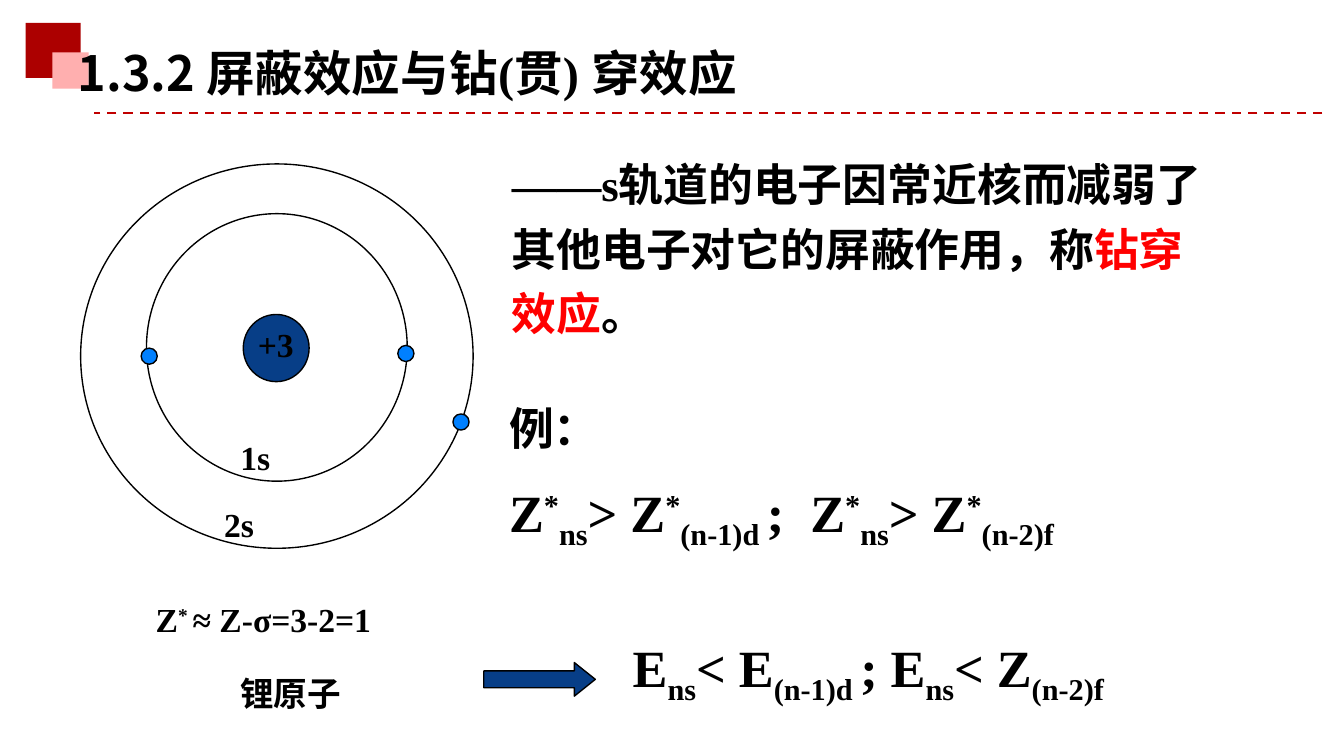
from pptx import Presentation
from pptx.dml.color import RGBColor
from pptx.enum.dml import MSO_LINE
from pptx.enum.shapes import MSO_CONNECTOR, MSO_SHAPE as SHAPE
from pptx.enum.text import MSO_AUTO_SIZE as FIT
from pptx.oxml.ns import qn
from pptx.util import Inches, Pt
from lxml.etree import SubElement

BLACK = RGBColor(0, 0, 0)
RED = RGBColor(0xFF, 0, 0)
NAVY = RGBColor(0x07, 0x3E, 0x87)
BLUE = RGBColor(0, 0x80, 0xFF)
DARK = RGBColor(0xAC, 0, 0)
PINK = RGBColor(0xFF, 0xAF, 0xAF)
RULE = RGBColor(0xC0, 0, 0)
SERIF = "Times New Roman"
SANS = "Noto Sans CJK SC"
SUP, SUB = 30000, -25000


def add_form(shapes, kind, at, fill=None, edge=BLACK):
    form = shapes.add_shape(kind, *map(Inches, at))
    form.shadow.inherit = False
    if fill is None:
        form.fill.background()
    else:
        form.fill.solid()
        form.fill.fore_color.rgb = fill
    if edge is None:
        form.line.fill.background()
    else:
        form.line.color.rgb = edge
        form.line.width = Pt(0.75)
    return form


def add_run(para, text, size, base=0, color=BLACK, face=SERIF):
    run = para.add_run()
    run.text = text
    font = run.font
    font.size, font.bold, font.name = Pt(size), True, face
    font.color.rgb = color
    props = run._r.get_or_add_rPr()
    SubElement(props, qn("a:ea")).set("typeface", SANS)
    if base:
        props.set("baseline", str(base))


def add_runs(para, runs, size):
    for text, style in runs:
        add_run(para, text, size, **style)


def add_text(shapes, at, runs, size=18, wrap=True):
    """Each run is a text and a dict of what differs from plain."""
    frame = shapes.add_textbox(*map(Inches, at)).text_frame
    frame.word_wrap = wrap
    frame.auto_size = FIT.SHAPE_TO_FIT_TEXT
    add_runs(frame.paragraphs[0], runs, size)
    return frame


def plain(text):
    return text, {}


def sup(text):
    return text, {"base": SUP}


def sub(text):
    return text, {"base": SUB}


def add_frame(shapes):
    add_form(shapes, SHAPE.RECTANGLE, (0.19, 0.17, 0.41, 0.41), DARK, None)
    add_form(shapes, SHAPE.RECTANGLE, (0.39, 0.39, 0.27, 0.27), PINK, None)
    ends = map(Inches, (9.84, 0.84, 0.7, 0.84))
    rule = shapes.add_connector(MSO_CONNECTOR.STRAIGHT, *ends)
    rule.line.color.rgb = RULE
    rule.line.width = Pt(1.25)
    rule.line.dash_style = MSO_LINE.DASH
    SubElement(rule._element.spPr, qn("a:effectLst"))


def add_atom(shapes):
    atom = shapes.add_group_shape().shapes
    # Nucleus and orbits
    add_form(atom, SHAPE.OVAL, (1.81, 2.34, 0.49, 0.5), NAVY)
    add_form(atom, SHAPE.OVAL, (1.09, 1.59, 1.94, 1.99))
    add_form(atom, SHAPE.OVAL, (0.6, 1.22, 2.92, 2.86))
    add_text(atom, (1.82, 2.36, 0.47, 0.4), [plain("+3")], wrap=False)
    # Electrons
    for x, y in ((2.96, 2.57), (1.05, 2.59), (3.37, 3.08)):
        add_form(atom, SHAPE.OVAL, (x, y, 0.12, 0.12), BLUE)
    # Orbit names
    add_text(atom, (1.69, 3.2, 0.59, 0.4), [plain("1s")])
    add_text(atom, (1.57, 3.7, 0.43, 0.4), [plain("2s")], wrap=False)


def main():
    deck = Presentation()
    # Wide 16:9 page
    deck.slide_width = Inches(10)
    deck.slide_height = Inches(10 * 9 / 16)
    shapes = deck.slides.add_slide(deck.slide_layouts[6]).shapes
    add_frame(shapes)
    add_atom(shapes)

    # Atom captions
    add_text(shapes, (1.69, 4.96, 0.95, 0.4), [plain("锂原子")], wrap=False)
    charge = [plain("Z"), sup("* "), plain("≈ Z-σ=3-2=1")]
    add_text(shapes, (1.06, 4.41, 1.86, 0.4), charge, wrap=False)

    # Definition
    meaning = [
        plain("——s轨道的电子因常近核而减弱了其他电子对它的屏蔽作用，称"),
        ("钻穿效应", {"color": RED}),
        plain("。"),
    ]
    frame = add_text(shapes, (3.71, 1.04, 5.5, 1.56), meaning, 24)
    frame.paragraphs[0].line_spacing = 1.2

    # Example: effective charges
    frame = add_text(shapes, (3.69, 2.93, 5.5, 1.21), [plain("例：")], 24)
    para = frame.add_paragraph()
    para.space_before = Pt(14)
    for lead, last in (("Z", "(n-1)d "), (";  Z", "(n-2)f")):
        pair = [plain(lead), sup("*"), sub("ns"),
                plain("> Z"), sup("*"), sub(last)]
        add_runs(para, pair, 28)

    # Result: energies
    arrow = add_form(shapes, SHAPE.RIGHT_ARROW, (3.6, 4.93, 0.83, 0.25), NAVY)
    arrow.adjustments[0], arrow.adjustments[1] = 0.5, 0.625
    energy = [plain("E"), sub("ns"), plain("< E"), sub("(n-1)d "),
              plain("; E"), sub("ns"), plain("< Z"), sub("(n-2)f")]
    add_text(shapes, (4.61, 4.68, 5.17, 0.57), energy, 28)

    # Title
    title = [("1.3.2 ", {"face": SANS}), plain("屏蔽效应与钻(贯) 穿效应")]
    add_text(shapes, (0.48, 0.27, 6.06, 0.54), title, 26)

    deck.save("out.pptx")


if __name__ == "__main__":
    main()
